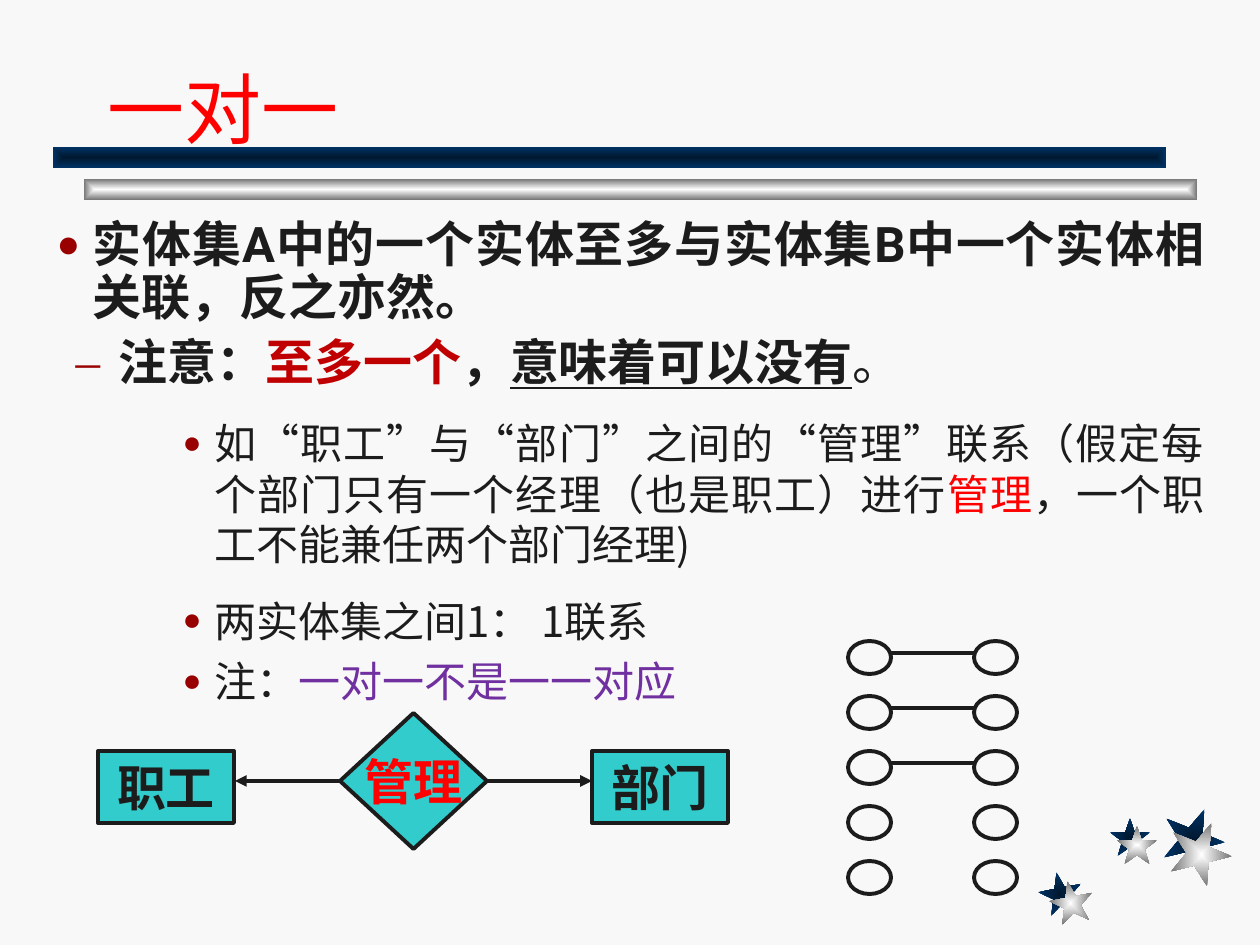
from math import cos, pi, radians, sin

from lxml.etree import SubElement
from pptx import Presentation
from pptx.dml.color import RGBColor
from pptx.enum.shapes import MSO_CONNECTOR, MSO_SHAPE
from pptx.enum.text import MSO_ANCHOR, MSO_AUTO_SIZE, PP_ALIGN
from pptx.oxml import parse_xml
from pptx.oxml.ns import nsdecls, qn
from pptx.util import Pt

SCALE = 914400 / 126
INK = RGBColor(0x1C, 0x1C, 0x1C)
RED = RGBColor(0xFF, 0x00, 0x00)
CRIMSON = RGBColor(0xC0, 0x00, 0x00)
PURPLE = RGBColor(0x70, 0x30, 0xA0)
TEAL = RGBColor(0x33, 0xCC, 0xCC)
PAPER = RGBColor(0xF8, 0xF8, 0xF8)
BULLET = RGBColor(0x99, 0x00, 0x00)
NAVY = (RGBColor(0x00, 0x18, 0x2F), RGBColor(0x00, 0x33, 0x66))
SILVER = (RGBColor(0xFF, 0xFF, 0xFF), RGBColor(0x76, 0x76, 0x76))
SANS, ROBOTO, SERIF = "Noto Sans CJK JP", "Roboto", "Times New Roman"

TITLE = "一对一"
LEVELS = [
    dict(margin=36, hang=36, mark="●", size=80, spacing=0.9,
         font=dict(name=ROBOTO, size=Pt(28), bold=True)),
    dict(margin=62, hang=43, mark="–", size=100, spacing=0.9,
         font=dict(name=ROBOTO, size=Pt(28), bold=True)),
    dict(margin=158, hang=32, mark="●", size=75, spacing=1.0,
         font=dict(name=SANS, size=Pt(24), bold=False)),
]
BODY = [
    (0, 0, [("实体集A中的一个实体至多与实体集B中一个实体相关联，反之亦然。", INK, {})]),
    (1, 7, [("注意：", INK, {}), ("至多一个", CRIMSON, {}), ("，", INK, {}),
            ("意味着可以没有", INK, {"underline": True}), ("。", INK, {"bold": False})]),
    (2, 15, [("如“职工”与“部门”之间的“管理”联系（假定每个部门只有一个经理（也是职工）进行", INK, {}),
             ("管理", RED, {}), ("，一个职工不能兼任两个部门经理)", INK, {})]),
    (2, 15, [("两实体集之间1： 1联系", INK, {})]),
    (2, 6, [("注：", INK, {}), ("一对一不是一一对应", PURPLE, {})]),
]
STARS = [(1061, 895, 23, -11, 11, 9), (1130, 839, 21, 0, 7, 8), (1192, 840, 33, 22, 7, 14)]
BARS = [(84, 179, SILVER), (53, 147, NAVY)]
NODES = [
    ("职工", MSO_SHAPE.RECTANGLE, (98, 751, 136, 72), INK),
    ("部门", MSO_SHAPE.RECTANGLE, (592, 751, 136, 72), INK),
    ("管理", MSO_SHAPE.DIAMOND, (340, 713, 147, 136), RED),
]
ARROWS = [(340, 235), (487, 592)]
COLUMNS, ROWS, LINKED = (848, 974), 5, 3
TOP, PITCH, OVAL_W, OVAL_H = 641, 55, 43, 33


def px(*values):
    return [round(v * SCALE) for v in values]


def place(sp, *box):
    for name, value in zip(("left", "top", "width", "height"), px(*box)):
        setattr(sp, name, value)


def add_run(p, text, color, **font):
    r = p.add_run()
    r.text = text
    for name, value in font.items():
        setattr(r.font, name, value)
    r.font.color.rgb = color
    rpr = r.font._element
    rpr.set("lang", "zh-CN")
    rpr.find(qn("a:latin")).addnext(parse_xml(f'<a:ea {nsdecls("a")} typeface="{SANS}"/>'))


def add_shape(slide, kind, box):
    sp = slide.shapes.add_shape(kind, *px(*box))
    sp.shadow.inherit = False
    sp.line.color.rgb = INK
    sp.line.width = Pt(2.25)
    return sp


def add_line(slide, x1, x2, y, arrow=False):
    s = slide.shapes.add_connector(MSO_CONNECTOR.STRAIGHT, *px(x1, y, x2, y))
    s.line.color.rgb = INK
    s.line.width = Pt(2.25)
    if arrow:
        SubElement(s.line._get_or_add_ln(), qn("a:tailEnd"), type="triangle")
    SubElement(s._element.spPr, qn("a:effectLst"))


def shade(sp, colors):
    sp.shadow.inherit = False
    sp.line.fill.background()
    inner, outer = colors
    sp._element.spPr.find(qn("a:ln")).addprevious(parse_xml(
        f'<a:gradFill {nsdecls("a")} rotWithShape="1"><a:gsLst>'
        f'<a:gs pos="0"><a:srgbClr val="{inner}"/></a:gs>'
        f'<a:gs pos="100000"><a:srgbClr val="{outer}"/></a:gs></a:gsLst>'
        '<a:path path="rect"><a:fillToRect l="50000" t="50000" r="50000" b="50000"/>'
        '</a:path></a:gradFill>'))


def add_star(slide, x, y, radius, tilt, colors):
    points = []
    for i in range(10):
        reach = radius * (0.38 if i % 2 else 1)
        angle = radians(tilt) + i * pi / 5
        points.append(px(x + reach * sin(angle), y - reach * cos(angle)))
    builder = slide.shapes.build_freeform(*points[0])
    builder.add_line_segments(points[1:], close=True)
    shade(builder.convert_to_shape(), colors)


def add_bullet(p, level):
    ppr = p._p.get_or_add_pPr()
    margin, hang = px(level["margin"], level["hang"])
    ppr.set("marL", str(margin))
    ppr.set("indent", str(-hang))
    for tag, attrs in (("buClr", {}), ("buSzPct", {"val": str(level["size"] * 1000)}),
                       ("buFont", {"typeface": SERIF}), ("buChar", {"char": level["mark"]})):
        element = SubElement(ppr, qn(f"a:{tag}"), **attrs)
        if tag == "buClr":
            SubElement(element, qn("a:srgbClr"), val=str(BULLET))


def fill_placeholders(slide):
    title, body = slide.placeholders
    place(title, 95, 32, 1074, 129)
    place(body, 44, 214, 1173, 725)
    for sp, anchor in ((title, MSO_ANCHOR.BOTTOM), (body, MSO_ANCHOR.TOP)):
        sp.text_frame.auto_size = MSO_AUTO_SIZE.NONE
        sp.text_frame.vertical_anchor = anchor
    p = title.text_frame.paragraphs[0]
    p.alignment = PP_ALIGN.LEFT
    p.line_spacing = 0.9
    add_run(p, TITLE, RED, name=SANS, size=Pt(44))
    tf = body.text_frame
    for i, (depth, before, runs) in enumerate(BODY):
        p = tf.add_paragraph() if i else tf.paragraphs[0]
        level = LEVELS[depth]
        add_bullet(p, level)
        p.level = depth
        p.alignment = PP_ALIGN.JUSTIFY
        p.line_spacing = level["spacing"]
        p.space_before = Pt(before)
        for text, color, extra in runs:
            add_run(p, text, color, **{**level["font"], **extra})


def main():
    """Build the one-to-one relationship slide."""
    prs = Presentation()
    prs.slide_width, prs.slide_height = px(1260, 945)
    slide = prs.slides.add_slide(prs.slide_layouts[1])
    slide.background.fill.solid()
    slide.background.fill.fore_color.rgb = PAPER
    fill_placeholders(slide)
    for x, y, radius, tilt, dx, dy in STARS:
        add_star(slide, x, y, radius, tilt, NAVY)
        add_star(slide, x + dx, y + dy, radius, tilt, SILVER)
    for x, y, colors in BARS:
        shade(slide.shapes.add_shape(MSO_SHAPE.RECTANGLE, *px(x, y, 1113, 21)), colors)
    for row in range(ROWS):
        y = TOP + row * PITCH
        for x in COLUMNS:
            add_shape(slide, MSO_SHAPE.OVAL, (x, y, OVAL_W, OVAL_H)).fill.background()
        if row < LINKED:
            add_line(slide, COLUMNS[0] + OVAL_W, COLUMNS[1], y + 12)
    for text, kind, box, color in NODES:
        sp = add_shape(slide, kind, box)
        sp.fill.solid()
        sp.fill.fore_color.rgb = TEAL
        tf = sp.text_frame
        tf.word_wrap = False
        tf.vertical_anchor = MSO_ANCHOR.MIDDLE
        p = tf.paragraphs[0]
        p.alignment = PP_ALIGN.CENTER
        add_run(p, text, color, name=SERIF, size=Pt(28), bold=True)
    for x1, x2 in ARROWS:
        add_line(slide, x1, x2, 781, arrow=True)
    prs.save("out.pptx")


if __name__ == "__main__":
    main()
